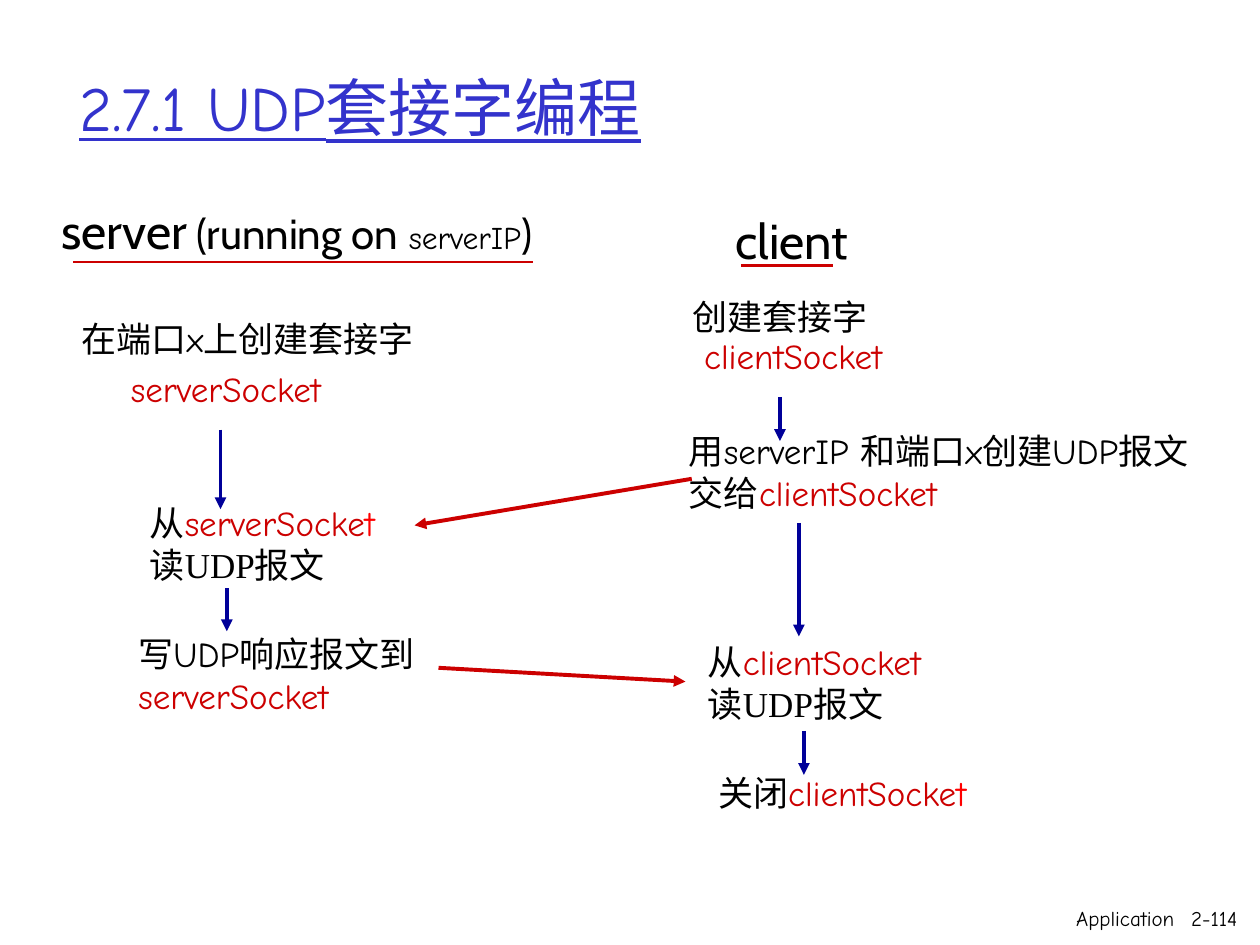
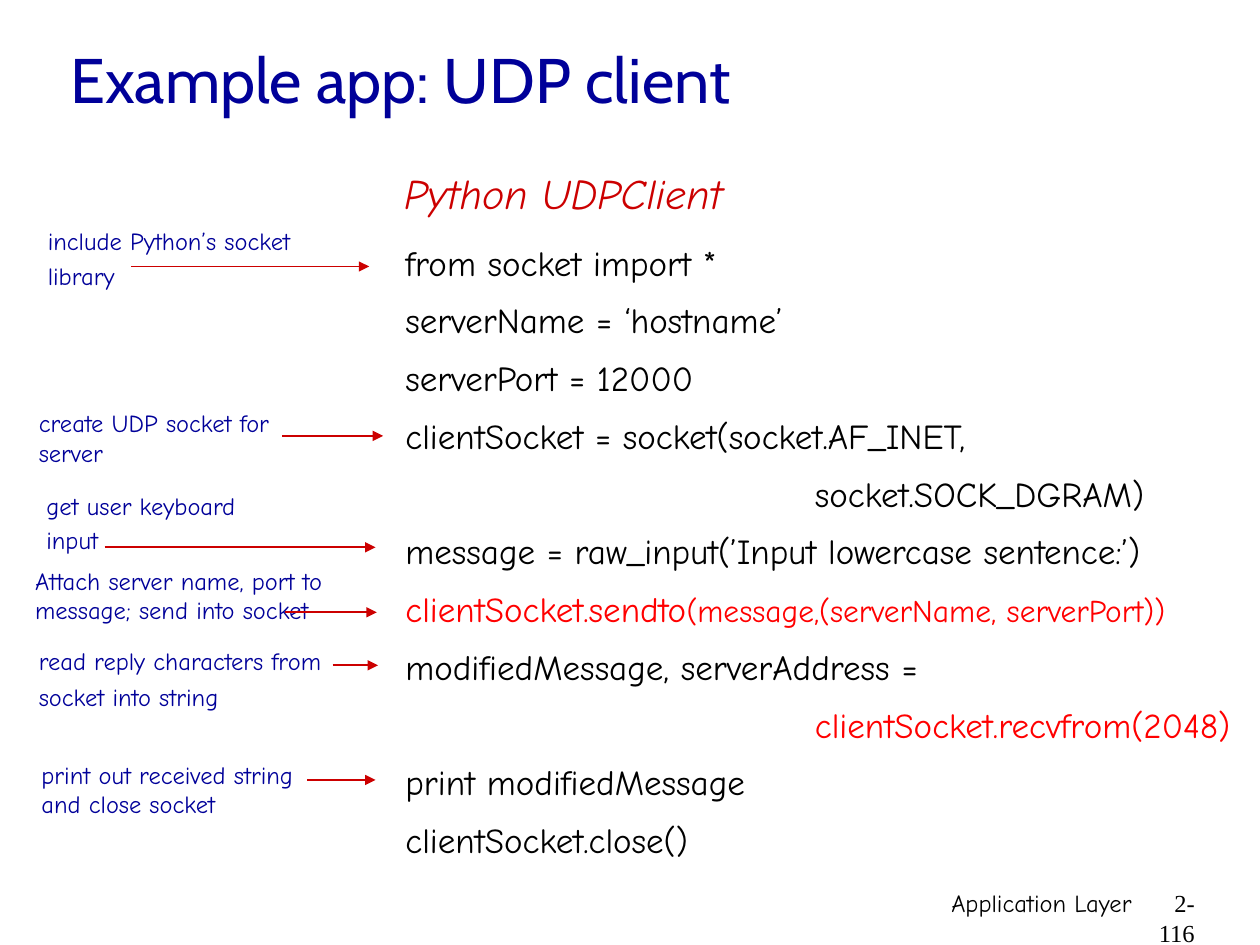
import pptx
import pptx.dml.color
import pptx.enum.shapes
import pptx.enum.text
import pptx.oxml.ns
import pptx.util
from lxml import etree

Pt = pptx.util.Pt
qn = pptx.oxml.ns.qn
ANCHOR = pptx.enum.text.MSO_ANCHOR
ALIGN = pptx.enum.text.PP_ALIGN
FIT = pptx.enum.text.MSO_AUTO_SIZE

BLACK, RED, BRIGHT, NAVY, BLUE = "000000", "CC0000", "FF0000", "000099", "3333CC"
HAND, SANS, SERIF = "Comic Neue", "Cabin", "Times New Roman"


def color(value):
    return pptx.dml.color.RGBColor.from_string(value)


BODY = {"name": HAND, "size": Pt(20), "color": BLACK}
TITLE = {"name": HAND, "size": Pt(36), "color": BLUE, "underline": True}
SANS_TITLE = {"name": SANS, "size": Pt(36), "color": NAVY}
HEADING = {"name": SANS, "size": Pt(28), "color": BLACK}
NOTE = {"name": HAND, "size": Pt(14), "color": NAVY}
CODE_HEAD = {"name": HAND, "size": Pt(24), "color": RED, "italic": True}
SOCKET = {"color": RED}
LAST_LETTER = {"color": BRIGHT}
SERIF_RUN = {"name": SERIF}
READ_UDP = [("读UDP报文", SERIF_RUN)]


def set_font(font, fmt):
    for key, value in fmt.items():
        if key == "color":
            font.color.rgb = color(value)
        else:
            setattr(font, key, value)


def add_text(s, box, paras, base, anchor=ANCHOR.MIDDLE, align=ALIGN.LEFT,
             wrap=True, grow=True, line=None, before=0):
    tf = s.shapes.add_textbox(*map(Pt, box)).text_frame
    tf.word_wrap = wrap
    tf.auto_size = FIT.SHAPE_TO_FIT_TEXT if grow else FIT.NONE
    tf.vertical_anchor = anchor
    for i, runs in enumerate(paras):
        p = tf.paragraphs[0] if i == 0 else tf.add_paragraph()
        p.alignment = align
        if line:
            p.line_spacing = Pt(line)
        if i and before:
            p.space_before = Pt(before)
        for words, fmt in [(runs, {})] if isinstance(runs, str) else runs:
            r = p.add_run()
            r.text = words
            set_font(r.font, {**base, **fmt})


def add_line(s, x1, y1, x2, y2, line_color, width, arrow=True):
    c = s.shapes.add_connector(pptx.enum.shapes.MSO_CONNECTOR.STRAIGHT,
                               Pt(x1), Pt(y1), Pt(x2), Pt(y2))
    c.line.color.rgb = color(line_color)
    c.line.width = Pt(width)
    sp_pr = c._element.spPr
    if arrow:
        etree.SubElement(sp_pr.find(qn("a:ln")), qn("a:tailEnd"), type="triangle")
    etree.SubElement(sp_pr, qn("a:effectLst"))


def title(s, box, words, fmt):
    add_text(s, box, [words], fmt, grow=False)


def footer(s, box, label, page, page_width, overlap, size, page_font):
    x, y, w, h = box
    fmt = {"name": HAND, "size": Pt(size), "color": BLACK}
    page_x = x + w - page_width
    for part, words, font in (((x, y, page_x - x + overlap, h), label, HAND),
                              ((page_x, y, page_width, h), page, page_font)):
        add_text(s, part, [words], {**fmt, "name": font}, anchor=ANCHOR.TOP,
                 align=ALIGN.RIGHT, grow=False)


def heading(s, box, runs, rule_x, rule_width, rule_y, wrap):
    x, y = box[:2]
    add_text(s, box, [runs], HEADING, align=ALIGN.CENTER, wrap=wrap)
    add_line(s, x + rule_x, y + rule_y, x + rule_x + rule_width, y + rule_y,
             RED, 1.5, arrow=False)


def flow_column(s, box, steps, arrows):
    x, y = box[:2]
    for (dx, dy, w, h), paras, extra in steps:
        add_text(s, (x + dx, y + dy, w, h), paras, BODY, **extra)
    for dx, top, bottom in arrows:
        add_line(s, x + dx, y + top, x + dx, y + bottom, NAVY, 2.25)


def server_column(s, box):
    flow_column(s, box, [
        ((0, 0, 213.8, 31.7), ["在端口x上创建套接字"], {"wrap": False}),
        ((28.1, 32.4, 130.3, 27.4), [[("serverSocket", SOCKET)]],
         {"wrap": False, "line": 20}),
        ((38.9, 105.2, 148.3, 55.4),
         [[("从", {}), ("serverSocke", SOCKET), ("t", LAST_LETTER)], READ_UDP],
         {"wrap": False}),
        ((32.4, 167.8, 181.4, 79.2),
         ["写UDP响应报文到", [("serverSocket", SOCKET)]], {}),
    ], [(86.4, 67.7, 113.1), (90, 158.4, 182.9)])


def client_column(s, box):
    flow_column(s, box, [
        ((8.8, 0, 148, 31.7), ["创建套接字"], {}),
        ((15.3, 26.6, 123.1, 27.4), [[("clientSocket", SOCKET)]],
         {"wrap": False, "line": 20}),
        ((6.6, 77, 329, 55.4),
         ["用serverIP 和端口x创建UDP报文", [("交给", {}), ("clientSocket", SOCKET)]],
         {"wrap": False}),
        ((17.4, 197.3, 157.7, 55.4),
         [[("从", {}), ("clientSocket", SOCKET)], READ_UDP], {}),
        ((23.2, 272.1, 176.4, 31.7),
         [[("关闭", {}), ("clientSocke", SOCKET), ("t", LAST_LETTER)]], {}),
    ], [(65.7, 61.9, 87.1), (76.5, 133.9, 198.7), (79.4, 252.7, 277.9)])


def messages(s, box):
    x, y = box[:2]
    for x1, y1, x2, y2 in ((158.4, 0, 0, 26.6), (13.7, 108, 154.8, 115.9)):
        add_line(s, x + x1, y + y1, x + x2, y + y2, RED, 2.25)


def code_listing(s, box):
    x, y, w, h = box
    indent = " " * 35
    add_text(s, (x, y, 196.6, 36), ["Python UDPClient"], CODE_HEAD,
             anchor=ANCHOR.TOP, wrap=False)
    add_text(s, (x + 0.7, y + 38.1, w, h - 38.1), [
        "from socket import *",
        "serverName = ‘hostname’",
        "serverPort = 12000",
        "clientSocket = socket(socket.AF_INET,",
        indent + "socket.SOCK_DGRAM)",
        "message = raw_input(’Input lowercase sentence:’)",
        [("clientSocket.sendto", LAST_LETTER),
         ("(message,(serverName, serverPort))", {"color": BRIGHT, "size": Pt(18)})],
        "modifiedMessage, serverAddress =",
        [(indent + "clientSocket.recvfrom(2048)", LAST_LETTER)],
        "print modifiedMessage",
        "clientSocket.close()",
    ], BODY, anchor=ANCHOR.TOP, wrap=False, line=28, before=5)


def code_note(s, box, lines, arrow, tight=False):
    x, y = box[:2]
    start, end, dy = arrow
    add_text(s, box, lines, NOTE, anchor=ANCHOR.TOP, wrap=not tight,
             line=16 if tight else None, before=3.5)
    add_line(s, x + start, y + dy, x + end, y + dy, RED, 1)


def udp_flow_slide(s):
    title(s, (38.2, 15.8, 612, 90), "2.7.1 UDP套接字编程", TITLE)
    heading(s, (13, 110.9, 313.2, 41),
            [("server", {}), (" (running on", {"size": Pt(24)}),
             (" serverIP", {"name": HAND, "size": Pt(18)}), (")", {"size": Pt(24)})],
            28.8, 262.8, 38.9, wrap=False)
    heading(s, (409, 116.6, 87.1, 41), "client", 14.4, 52.5, 35.3, wrap=True)
    server_column(s, (39.6, 177.8, 214, 247))
    client_column(s, (380, 164.9, 336, 304))
    messages(s, (236.9, 273.6, 158.4, 116))
    footer(s, (599.8, 514.1, 114.4, 22.3), "Application", "2-114", 44, 8, 12, HAND)


def udp_client_slide(s):
    title(s, (33.1, 7.2, 612, 74.9), "Example app: UDP client", SANS_TITLE)
    code_listing(s, (223.9, 92.2, 487.4, 402.4))
    code_note(s, (20.2, 126.7, 157.7, 43.2), ["include Python’s socket", "library"],
              (54.7, 190.8, 25.6), tight=True)
    code_note(s, (15.1, 229.7, 178.6, 41), ["create UDP socket for server"],
              (146.2, 203.8, 19.4))
    code_note(s, (19.4, 277.9, 123.1, 43.2), ["get user keyboard", "input"],
              (40.4, 195.2, 34.9), tight=True)
    code_note(s, (13, 319.7, 185, 41),
              ["Attach server name, port to message; send into socket"],
              (149.7, 202.3, 30.2))
    code_note(s, (15.1, 365.8, 185, 44.6),
              ["read reply characters from", "socket into string"], (175, 200.9, 14.4))
    code_note(s, (16.6, 430.6, 185, 41),
              ["print out received string and close socket"], (159.1, 198, 15.1))
    footer(s, (426.2, 504, 263.6, 36), "Application Layer", "2-116", 36, 0, 14, SERIF)


def main():
    prs = pptx.Presentation()
    prs.slide_width, prs.slide_height = Pt(720), Pt(540)
    for build in (udp_flow_slide, udp_client_slide):
        build(prs.slides.add_slide(prs.slide_layouts[6]))
    prs.save("out.pptx")


if __name__ == "__main__":
    main()
